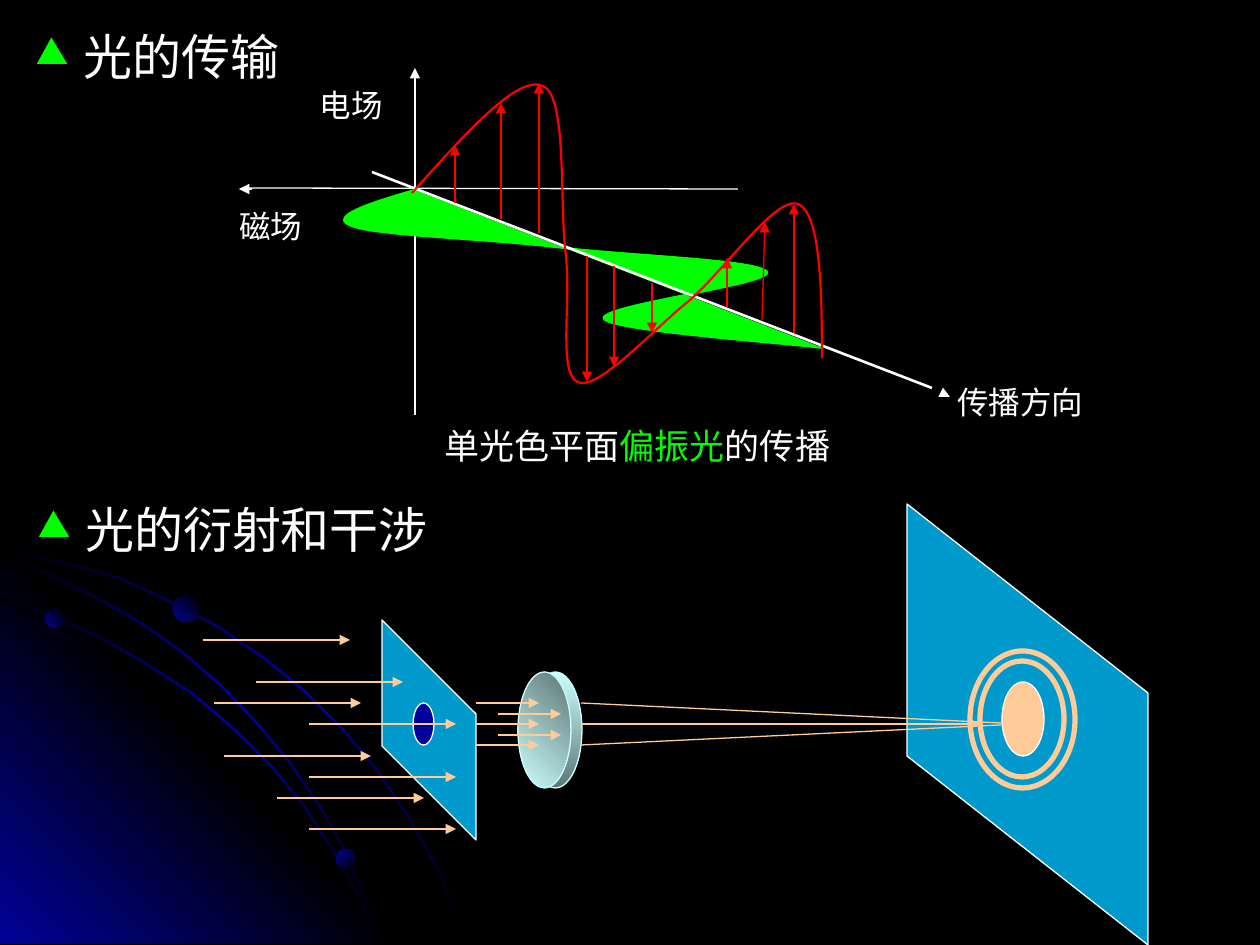
import copy

import pptx
import pptx.dml.color
import pptx.enum.shapes
import pptx.enum.text
import pptx.oxml
import pptx.oxml.ns
import pptx.util
from lxml import etree

EMU_PER_PX = 914400 / 126
WHITE, BLACK, RED, GREEN = "FFFFFF", "000000", "FF0000", "00FF00"
NAVY, PANEL, PEACH, GLASS = "010199", "0099CC", "FFCC99", "CCFFFF"
SHAPES = pptx.enum.shapes.MSO_SHAPE


def px(length):
    return pptx.util.Emu(round(length * EMU_PER_PX))


def color(code):
    return pptx.dml.color.RGBColor.from_string(code)


def sub(parent, tag, **attributes):
    return etree.SubElement(parent, pptx.oxml.ns.qn(tag), attributes)


def paint_gradient(shape, stops, angle):
    shape.fill.gradient()
    shape.fill.gradient_angle = 360 - angle
    stop_list = shape._element.spPr.find(".//" + pptx.oxml.ns.qn("a:gsLst"))
    while len(stop_list) < len(stops):
        stop_list.append(copy.deepcopy(stop_list[0]))
    for index, (stop, code) in enumerate(zip(shape.fill.gradient_stops, stops)):
        stop.position = index / (len(stops) - 1)
        stop.color.rgb = color(code)


def style(shape, fill=None, angle=0, line=None, weight=0.75):
    shape.shadow.inherit = False
    if isinstance(fill, tuple):
        paint_gradient(shape, fill, angle)
    elif fill:
        shape.fill.solid()
        shape.fill.fore_color.rgb = color(fill)
    else:
        shape.fill.background()
    if line:
        shape.line.color.rgb = color(line)
        shape.line.width = pptx.util.Pt(weight)
    else:
        shape.line.fill.background()


def add_ellipse(slide, box, **look):
    style(slide.shapes.add_shape(SHAPES.OVAL, *map(px, box)), **look)


def add_outline(slide, points, close=True, **look):
    corners = [(px(x), px(y)) for x, y in points]
    builder = slide.shapes.build_freeform(*corners[0], scale=1.0)
    builder.add_line_segments(corners[1:], close=close)
    style(builder.convert_to_shape(), **look)


def bezier_points(knots, steps=24):
    points = [knots[0]]
    for first in range(0, len(knots) - 1, 3):
        a, b, c, d = knots[first:first + 4]
        for step in range(1, steps + 1):
            t = step / steps
            weights = ((1 - t) ** 3, 3 * t * (1 - t) ** 2, 3 * t * t * (1 - t), t ** 3)
            points.append(tuple(sum(w * p[axis] for w, p in zip(weights, (a, b, c, d)))
                                for axis in (0, 1)))
    return points


def add_line(slide, start, end, line, weight=0.75, arrow=True):
    connector = slide.shapes.add_connector(
        pptx.enum.shapes.MSO_CONNECTOR.STRAIGHT, *map(px, start + end))
    connector.line.color.rgb = color(line)
    connector.line.width = pptx.util.Pt(weight)
    if arrow:
        sub(connector.line._get_or_add_ln(), "a:tailEnd", type="triangle")
    sub(connector._element.spPr, "a:effectLst")


def add_text(slide, box, *runs, size, font="Times New Roman", margins=(0, 0),
             fill=None, bullet=None):
    text_box = slide.shapes.add_textbox(*map(px, box))
    if fill:
        text_box.fill.solid()
        text_box.fill.fore_color.rgb = color(fill)
    frame = text_box.text_frame
    frame.word_wrap = True
    frame.vertical_anchor = pptx.enum.text.MSO_ANCHOR.TOP
    frame.margin_left = frame.margin_right = pptx.util.Inches(margins[0])
    frame.margin_top = frame.margin_bottom = pptx.util.Inches(margins[1])
    paragraph = frame.paragraphs[0]
    if bullet:
        indent = pptx.util.Inches(0.38)
        properties = paragraph._p.get_or_add_pPr()
        properties.set("marL", str(indent))
        properties.set("indent", str(-indent))
        sub(sub(properties, "a:buClr"), "a:srgbClr", val=GREEN)
        sub(properties, "a:buSzPct", val="75000")
        sub(properties, "a:buChar", char=bullet)
    for words, code in runs:
        run = paragraph.add_run()
        run.text = words
        run.font.size = pptx.util.Pt(size)
        run.font.name = font
        run.font.color.rgb = color(code)


def add_orbit(slide, outer):
    last = len(outer) - 1
    inner = [(x - 2 * i / last, y + 3 * (1 - i / last)) for i, (x, y) in enumerate(outer)]
    add_outline(slide, outer + inner[::-1], fill=(BLACK, NAVY, BLACK), angle=45)


def add_backdrop(slide):
    add_orbit(slide, [(0, 548), (35, 555), (72, 563), (123, 578), (171, 601), (219, 626),
                      (263, 656), (305, 690), (343, 728), (378, 770), (409, 816),
                      (427, 848), (444, 879), (456, 911), (468, 944)])
    add_outline(slide, [(0, 538), (406, 944), (0, 944)],
                fill=(NAVY, BLACK, NAVY), angle=315)
    add_orbit(slide, [(0, 598), (52, 615), (100, 636), (147, 663), (192, 692), (232, 726),
                      (271, 764), (305, 806), (335, 852), (360, 897), (382, 944)])
    add_orbit(slide, [(0, 557), (49, 573), (96, 596), (140, 621), (181, 650), (221, 684),
                      (257, 722), (289, 760), (320, 805), (339, 838), (355, 873),
                      (370, 907), (382, 944)])
    for box, angle in (((45, 609, 19, 19), 315), ((336, 849, 20, 20), 45),
                       ((173, 596, 26, 26), 315)):
        add_ellipse(slide, box, fill=(NAVY, BLACK), angle=angle)


def add_polarized_wave(slide):
    magnetic_wave = [(415, 190), (370, 203), (326, 217), (352, 226), (377, 236),
                     (496, 239), (564, 248), (634, 256), (760, 260), (767, 272),
                     (774, 284), (595, 306), (604, 319), (614, 331), (786, 343), (823, 348)]
    electric_wave = [(412, 193), (465, 134), (518, 74), (543, 86), (568, 96), (559, 207),
                     (566, 256), (571, 306), (558, 374), (578, 382), (597, 391), (648, 335),
                     (684, 305), (721, 276), (775, 195), (798, 204), (820, 213),
                     (822, 285), (822, 358)]
    add_line(slide, (243, 188), (738, 189), WHITE, arrow=False)
    add_line(slide, (415, 72), (415, 415), WHITE, arrow=False)
    add_outline(slide, bezier_points(magnetic_wave), close=False,
                fill=GREEN, line=GREEN, weight=1.25)
    add_line(slide, (372, 172), (932, 388), WHITE, weight=1.5, arrow=False)
    add_outline(slide, bezier_points(electric_wave), close=False, line=RED, weight=1.25)
    for start, tip in (((252, 189), (239, 189)), ((415, 72), (415, 68)),
                       ((942, 393), (950, 397))):
        add_line(slide, start, tip, WHITE)
    for x, foot, tip_x, tip in ((501, 219, 501, 103), (455, 203, 455, 145),
                                (539, 233, 539, 83), (587, 256, 587, 382),
                                (614, 266, 614, 367), (727, 307, 727, 258),
                                (762, 320, 765, 222), (794, 333, 794, 204),
                                (652, 283, 652, 333)):
        add_line(slide, (x, foot), (tip_x, tip), RED)
    for words, box in (("磁场", (239, 207, 84, 43)), ("传播方向", (957, 383, 156, 42)),
                       ("电场", (320, 86, 86, 43))):
        add_text(slide, box, (words, WHITE), size=18, fill=BLACK)
    add_text(slide, (432, 418, 428, 55), ("单光色平面", WHITE), ("偏振光", GREEN),
             ("的传播", WHITE), size=20, margins=(0.1, 0.05))


def add_diffraction(slide):
    add_outline(slide, [(907, 504), (1148, 693), (1148, 945), (907, 756)],
                fill=PANEL, line=WHITE)
    add_outline(slide, [(382, 620), (476, 714), (476, 840), (382, 746)],
                fill=PANEL, line=WHITE)
    add_ellipse(slide, (413, 703, 21, 42), fill=NAVY, line=WHITE)
    for left, angle in ((529, 90), (518, 315)):
        add_ellipse(slide, (left, 672, 53, 116), fill=(GLASS, "5E7676"),
                    angle=angle, line=GLASS)
    incoming = [(203, 640), (256, 682), (309, 724), (309, 777), (309, 829),
                (214, 703), (224, 756), (277, 798)]
    passing = [(476, 703), (476, 745), (476, 724), (498, 714), (498, 735)]
    for starts, length in ((incoming, 147), (passing, 63)):
        for x, y in starts:
            add_line(slide, (x, y), (x + length, y), PEACH)
    add_ellipse(slide, (1002, 682, 42, 74), fill=PEACH, line=WHITE)
    add_ellipse(slide, (980, 661, 84, 116), line=PEACH, weight=3)
    add_ellipse(slide, (970, 651, 105, 137), line=PEACH, weight=3)
    for y, focus in ((703, 1022), (745, 1022), (724, 980)):
        add_line(slide, (581, y), (focus, 724), PEACH)


def main():
    deck = pptx.Presentation()
    deck.slide_width, deck.slide_height = px(1260), px(945)
    slide = deck.slides.add_slide(deck.slide_layouts[6])
    slide.background.fill.solid()
    slide.background.fill.fore_color.rgb = color(BLACK)
    add_backdrop(slide)
    add_polarized_wave(slide)
    for words, box in (("光的传输", (23, 20, 304, 84)),
                       ("光的衍射和干涉", (25, 493, 462, 84))):
        add_text(slide, box, (words, WHITE), size=28, font="Arial",
                 margins=(0.1, 0.05), bullet="▲")
    add_diffraction(slide)
    deck.save("out.pptx")


if __name__ == "__main__":
    main()
